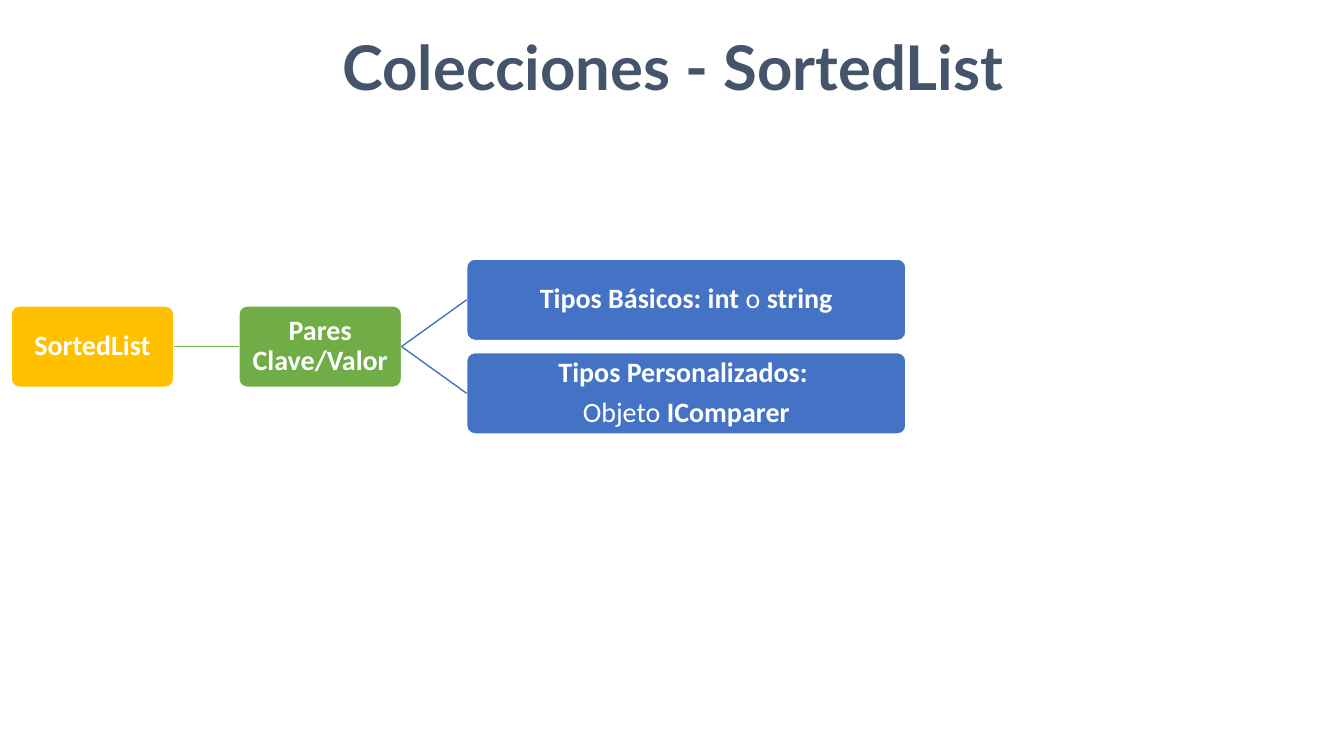
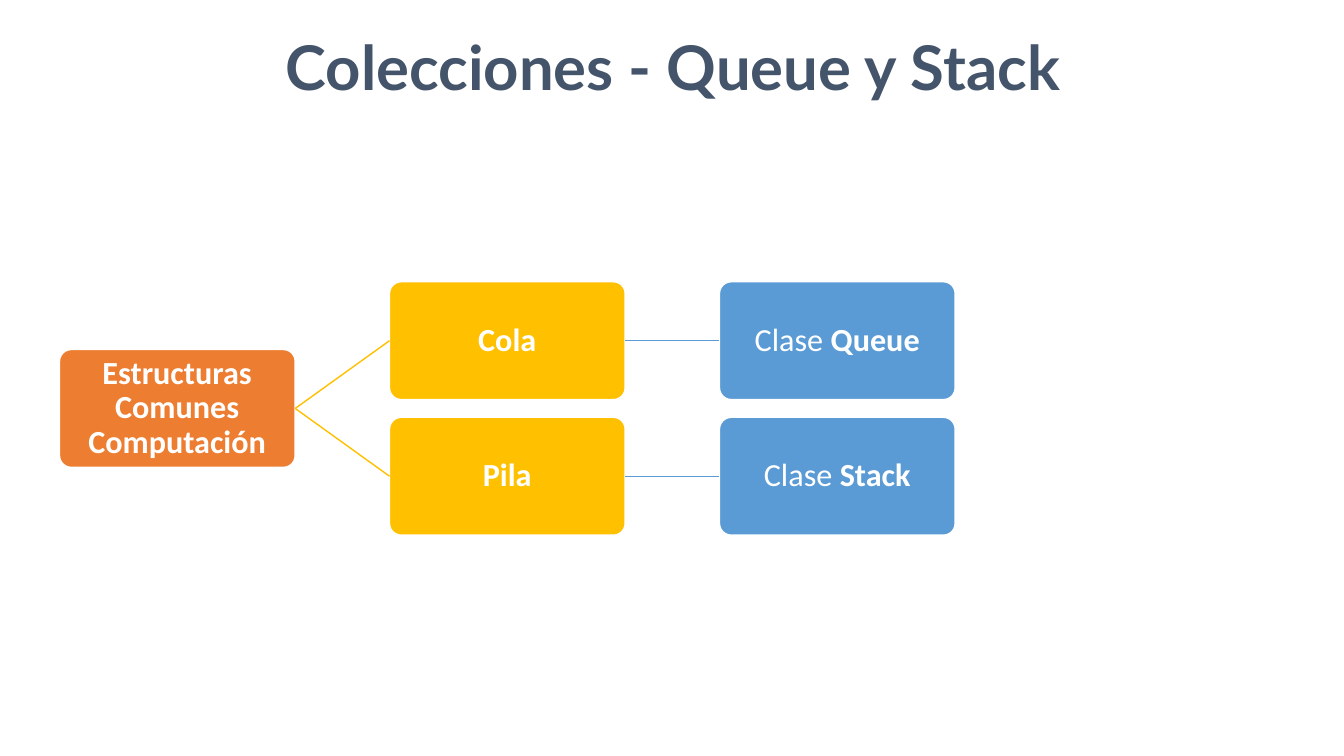
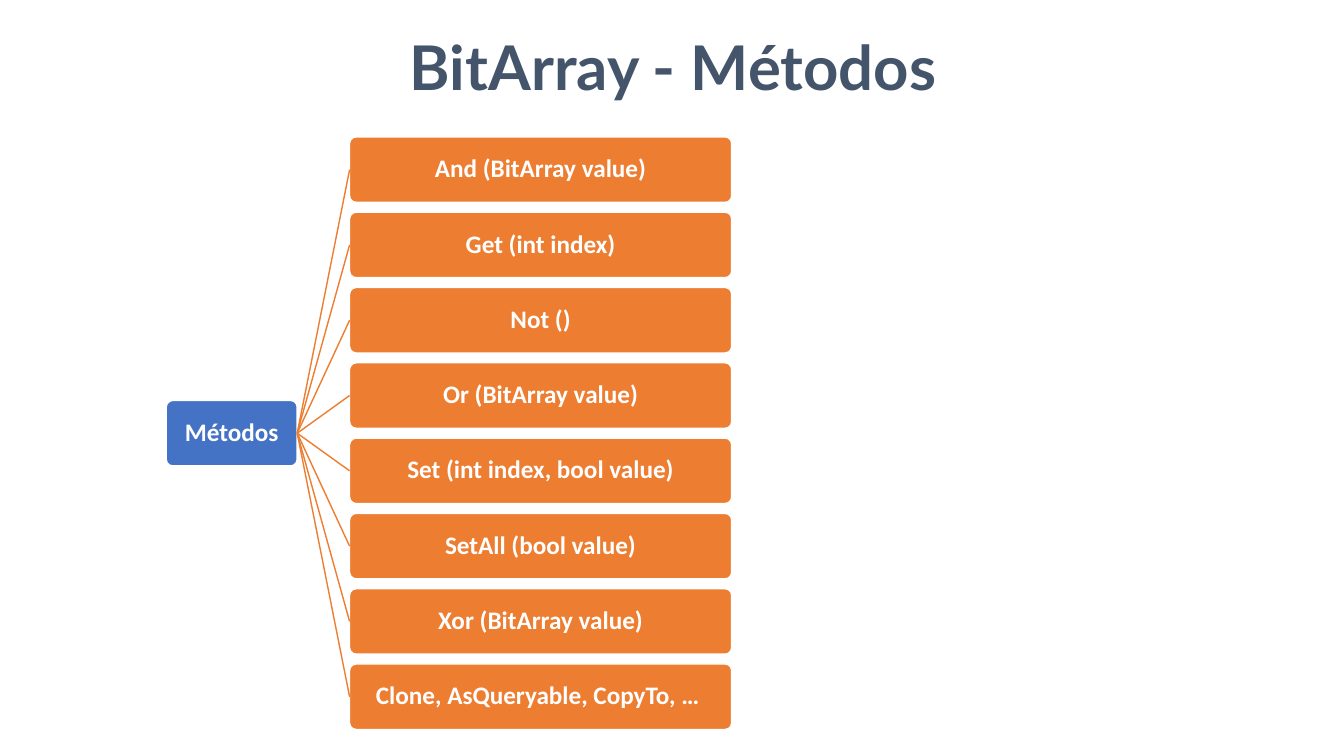
import dataclasses

import lxml.etree
import pptx
import pptx.dml.color
import pptx.enum.shapes
import pptx.enum.text
import pptx.oxml.ns
import pptx.util

Cm = pptx.util.Cm
COLORS = {
    "title": "44546A",
    "white": "FFFFFF",
    "gold": "FFC000",
    "green": "70AD47",
    "blue": "4472C4",
    "sky": "5B9BD5",
    "orange": "ED7D31",
}
TITLE_BOX = (0.33, 0.66, 33.27, 2.01)
COLUMN_GAP = 0.4
ROW_PITCH = 1.15


@dataclasses.dataclass
class Node:
    paragraphs: list
    color: str
    children: list = dataclasses.field(default_factory=list)
    width: float = 0


@dataclasses.dataclass
class TreeStyle:
    height: float
    size: int
    inset: float

    @property
    def width(self):
        return 2 * self.height


def rgb(name):
    return pptx.dml.color.RGBColor.from_string(COLORS[name])


def bold(text):
    return [[(text, True)]]


def write_text(shape, paragraphs, *, font, size, color, insets, anchor,
               line_spacing=1.0, space_between=0):
    frame = shape.text_frame
    frame.word_wrap = True
    frame.auto_size = pptx.enum.text.MSO_AUTO_SIZE.NONE
    frame.vertical_anchor = anchor
    frame.margin_left = frame.margin_right = Cm(insets[0])
    frame.margin_top = frame.margin_bottom = Cm(insets[1])
    for index, runs in enumerate(paragraphs):
        paragraph = frame.add_paragraph() if index else frame.paragraphs[0]
        paragraph.alignment = pptx.enum.text.PP_ALIGN.CENTER
        paragraph.line_spacing = line_spacing
        if index:
            paragraph.space_before = pptx.util.Pt(space_between)
        for text, is_bold in runs:
            run = paragraph.add_run()
            run.text = text
            run.font.name = font
            run.font.size = pptx.util.Pt(size)
            run.font.bold = is_bold
            run.font.color.rgb = rgb(color)


def place_title(slide, text, box):
    title = slide.shapes.title
    title.left, title.top, title.width, title.height = map(Cm, box)
    write_text(title, bold(text), font="Lato", size=44, color="title",
               insets=(0.13, 0.06), anchor=pptx.enum.text.MSO_ANCHOR.TOP)


def place_node(slide, node, left, top, style):
    shape = slide.shapes.add_shape(
        pptx.enum.shapes.MSO_SHAPE.ROUNDED_RECTANGLE,
        Cm(left), Cm(top), Cm(node.width or style.width), Cm(style.height))
    shape.adjustments[0] = 0.1
    shape.shadow.inherit = False
    shape.fill.solid()
    shape.fill.fore_color.rgb = rgb(node.color)
    shape.line.color.rgb = rgb("white")
    shape.line.width = pptx.util.Pt(1)
    write_text(shape, node.paragraphs, font="Calibri", size=style.size,
               color="white", insets=(style.inset, style.inset),
               anchor=pptx.enum.text.MSO_ANCHOR.MIDDLE,
               line_spacing=0.9, space_between=0.35 * style.size)
    return shape


def join_nodes(slide, parent, child, color):
    connector = slide.shapes.add_connector(
        pptx.enum.shapes.MSO_CONNECTOR.STRAIGHT, 0, 0, 0, 0)
    connector.begin_connect(parent, 3)
    connector.end_connect(child, 1)
    connector.line.color.rgb = rgb(color)
    connector.line.width = pptx.util.Pt(1)
    lxml.etree.SubElement(connector._element.spPr,
                          pptx.oxml.ns.qn("a:effectLst"))


def count_rows(node):
    return sum(map(count_rows, node.children)) or 1


def place_tree(slide, node, left, top, style):
    pitch = ROW_PITCH * style.height
    node_top = top + (count_rows(node) - 1) * pitch / 2
    shape = place_node(slide, node, left, node_top, style)
    child_left = left + (node.width or style.width) + COLUMN_GAP * style.width
    child_top = top
    for child in node.children:
        child_shape = place_tree(slide, child, child_left, child_top, style)
        join_nodes(slide, shape, child_shape, child.color)
        child_top += count_rows(child) * pitch
    return shape


def add_tree_slide(presentation, title, root, left, top, style):
    slide = presentation.slides.add_slide(presentation.slide_layouts[5])
    place_title(slide, title, TITLE_BOX)
    place_tree(slide, root, left, top, style)


def sorted_list_tree():
    types = [
        [[("Tipos Básicos: int ", True), ("o ", False), ("string", True)]],
        [[("Tipos Personalizados: ", True)],
         [("Objeto ", False), ("IComparer", True)]],
    ]
    leaves = [Node(paragraphs, "blue", width=11.07) for paragraphs in types]
    pairs = Node(bold("Pares Clave/Valor"), "green", leaves)
    return Node(bold("SortedList"), "gold", [pairs])


def queue_stack_tree():
    structures = [
        Node(bold(structure), "gold",
             [Node([[("Clase ", False), (class_name, True)]], "sky")])
        for structure, class_name in (("Cola", "Queue"), ("Pila", "Stack"))
    ]
    return Node(bold("Estructuras Comunes Computación"), "orange", structures)


def bit_array_tree():
    methods = [
        "And (BitArray value)",
        "Get (int index)",
        "Not ()",
        "Or (BitArray value)",
        "Set (int index, bool value)",
        "SetAll (bool value)",
        "Xor (BitArray value)",
        "Clone, AsQueryable, CopyTo, … ",
    ]
    leaves = [Node(bold(method), "orange", width=9.63) for method in methods]
    return Node(bold("Métodos"), "blue", leaves)


def main():
    presentation = pptx.Presentation()
    presentation.slide_width = Cm(33.87)
    presentation.slide_height = Cm(19.05)
    add_tree_slide(presentation, "Colecciones - SortedList",
                   sorted_list_tree(), 0.28, 6.53, TreeStyle(2.05, 20, 0.03))
    add_tree_slide(presentation, "Colecciones - Queue y Stack",
                   queue_stack_tree(), 1.5, 7.1, TreeStyle(2.97, 23, 0.05))
    add_tree_slide(presentation, "BitArray - Métodos",
                   bit_array_tree(), 4.19, 3.45, TreeStyle(1.65, 18, 0.03))
    presentation.save("out.pptx")


if __name__ == "__main__":
    main()
